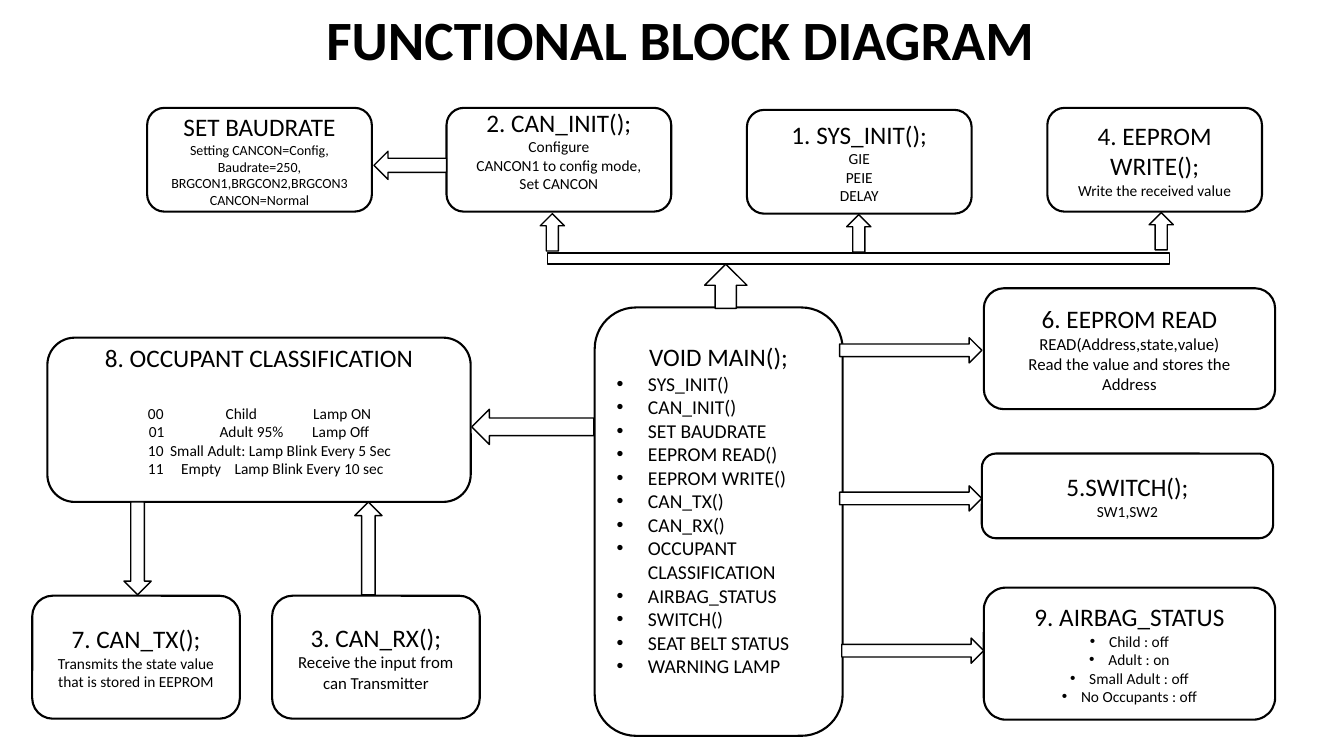
from collections import namedtuple
from dataclasses import dataclass

from lxml.etree import SubElement
from pptx import Presentation
from pptx.dml.color import RGBColor
from pptx.enum.shapes import MSO_SHAPE as Preset
from pptx.enum.text import MSO_ANCHOR as Anchor, PP_ALIGN as Align
from pptx.oxml.ns import qn
from pptx.util import Inches, Pt

Box = namedtuple("Box", "x y w h")


@dataclass(frozen=True)
class Theme:
    font: str = "Calibri"
    ink: RGBColor = RGBColor(0, 0, 0)
    paper: RGBColor = RGBColor(255, 255, 255)
    title: float = 39.6
    heading: float = 18
    steps: float = 14
    detail: float = 12
    note: float = 11
    fine: float = 10
    block_line: float = 1.5
    arrow_line: float = 1


THEME = Theme()
CELL = 0.1
ROWS, COLUMNS = 75, 133.33


def grid(count):
    return Inches(count * CELL)


def apply(target, formats):
    for name, value in formats.items():
        setattr(target, name, value)


def within(region, x, y, w, h):
    return Box(region.x + x, region.y + y, w, h)


def outline(slide, preset, box, weight):
    shape = slide.shapes.add_shape(preset, *map(grid, box))
    shape.shadow.inherit = False
    shape.fill.solid()
    shape.fill.fore_color.rgb = THEME.paper
    shape.line.color.rgb = THEME.ink
    shape.line.width = Pt(weight)
    return shape


def arrow(slide, preset, region, *place):
    outline(slide, preset, within(region, *place), THEME.arrow_line)


def write(paragraph, text, size, bold=False, align=Align.CENTER):
    paragraph.alignment = align
    run = paragraph.add_run()
    run.text = text
    apply(run.font, {"name": THEME.font, "size": Pt(size), "bold": bold})
    run.font.color.rgb = THEME.ink


def add_bullet(paragraph, indent):
    props = paragraph._p.get_or_add_pPr()
    props.set("marL", str(grid(indent)))
    props.set("indent", str(-grid(indent)))
    SubElement(props, qn("a:buFont")).set("typeface", "Arial")
    SubElement(props, qn("a:buChar")).set("char", "•")


def add_tabs(paragraph, stops):
    tabs = SubElement(paragraph._p.get_or_add_pPr(), qn("a:tabLst"))
    for stop in stops:
        tab = SubElement(tabs, qn("a:tab"))
        tab.set("pos", str(grid(stop)))
        tab.set("algn", "l")


def block(slide, box, heading, lines=(), size=THEME.note, align=Align.CENTER,
          bullet=None, lift=0, gap=0):
    frame = outline(slide, Preset.ROUNDED_RECTANGLE, box, THEME.block_line).text_frame
    apply(frame, {"word_wrap": True, "vertical_anchor": Anchor.MIDDLE,
                  "margin_bottom": grid(0.5 + lift)})
    write(frame.paragraphs[0], heading, THEME.heading)
    frame.paragraphs[0].space_after = Pt(gap)
    details = []
    for line in lines:
        detail = frame.add_paragraph()
        write(detail, line, size, align=align)
        if bullet:
            add_bullet(detail, bullet)
        details.append(detail)
    return details


def title(slide, region):
    frame = slide.shapes.add_textbox(*map(grid, region)).text_frame
    apply(frame, {"word_wrap": True, "vertical_anchor": Anchor.MIDDLE})
    write(frame.paragraphs[0], "FUNCTIONAL BLOCK DIAGRAM", THEME.title, bold=True)
    frame.paragraphs[0].line_spacing = 0.9


def setup_row(slide, region):
    height, width = 10.3, 22.3
    block(slide, within(region, 0, 0, width, height), "SET BAUDRATE",
          ["Setting CANCON=Config,", "Baudrate=250,",
           "BRGCON1,BRGCON2,BRGCON3", "CANCON=Normal"], THEME.fine)
    block(slide, within(region, 29.7, 0, width, height), "2. CAN_INIT();",
          ["Configure", "CANCON1 to config mode,", "Set CANCON"], lift=1.9)
    block(slide, within(region, 59.5, 0.2, width, height), "1. SYS_INIT();",
          ["GIE", "PEIE", "DELAY"])
    block(slide, within(region, 89.3, 0, width - 1, height), "4. EEPROM WRITE();",
          ["Write the received value"])
    arrow(slide, Preset.LEFT_ARROW, region, 22.5, 4.3, 7.2, 2.8)
    outline(slide, Preset.RECTANGLE, within(region, 39.7, 14.4, 61.7, 1.1),
            THEME.arrow_line)
    for x, y in [(39, 10.5), (69.4, 10.6), (99.4, 10.4)]:
        arrow(slide, Preset.UP_ARROW, region, x, y, 2.4, 3.7)


def main_program(slide, region):
    steps = ["SYS_INIT()", "CAN_INIT()", "SET BAUDRATE", "EEPROM READ()",
             "EEPROM WRITE()", "CAN_TX()", "CAN_RX()", "OCCUPANT CLASSIFICATION",
             "AIRBAG_STATUS", "SWITCH()", "SEAT BELT STATUS", "WARNING LAMP"]
    block(slide, region, "VOID MAIN();", steps, THEME.steps, Align.LEFT,
          bullet=3.1, lift=2.4)
    arrow(slide, Preset.UP_ARROW, region, 10.9, -4.3, 4.2, 4.4)


def output_column(slide, region):
    width = 28.9
    block(slide, within(region, 14.3, 0, width, 12), "6. EEPROM READ",
          ["READ(Address,state,value)", "Read the value and stores the Address"],
          THEME.detail)
    block(slide, within(region, 14.1, 16.4, width, 8.4), "5.SWITCH();", ["SW1,SW2"])
    block(slide, within(region, 14.3, 29.7, width, 13.1), "9. AIRBAG_STATUS",
          ["Child : off", "Adult : on", "Small Adult : off", "No Occupants : off"],
          bullet=1.9)
    for x, y in [(0, 4.9), (0, 19.6), (0.2, 34.7)]:
        arrow(slide, Preset.RIGHT_ARROW, region, x, y, 14.1, 2.5)


def occupant_area(slide, region):
    states = [(["00", "Child", "Lamp ON"], [8.2, 15.9, 24.6]),
              (["01", "Adult 95%", "Lamp Off"], [8.3, 15.3, 24.5]),
              (["10", "Small Adult: Lamp Blink Every 5 Sec"], [8.2, 10.4]),
              (["11", "Empty", "Lamp Blink Every 10 sec"], [8.2, 11.5, 16.8])]
    rows = block(slide, within(region, 1.5, 0, 42, 16.3), "8. OCCUPANT CLASSIFICATION",
                 ["\t" + "\t".join(cells) for cells, _ in states],
                 align=Align.LEFT, lift=1.9, gap=22)
    for row, (_, stops) in zip(rows, states):
        add_tabs(row, stops)
    block(slide, within(region, 0, 25.6, 20.6, 12.2), "7. CAN_TX();",
          ["Transmits the state value that is stored in EEPROM"])
    block(slide, within(region, 23.8, 25.6, 20.6, 12.2), "3. CAN_RX();",
          ["Receive the input from can Transmitter"], THEME.detail)
    arrow(slide, Preset.DOWN_ARROW, region, 9.1, 16.3, 2.7, 9.2)
    arrow(slide, Preset.UP_ARROW, region, 32, 16.3, 2.7, 9.2)
    arrow(slide, Preset.LEFT_ARROW, region, 43.6, 7.1, 12.1, 3.5)


deck = Presentation()
apply(deck, {"slide_width": grid(COLUMNS), "slide_height": grid(ROWS)})
diagram = deck.slides.add_slide(deck.slide_layouts[6])
title(diagram, Box(10.8, 0.7, 113.4, 7.1))
main_program(diagram, Box(59, 30.5, 24.6, 42.5))
setup_row(diagram, Box(14.6, 10.7, 110.6, 15.5))
output_column(diagram, Box(83.3, 28.6, 43.2, 42.8))
occupant_area(diagram, Box(3.2, 33.5, 55.7, 37.8))
deck.save("out.pptx")
